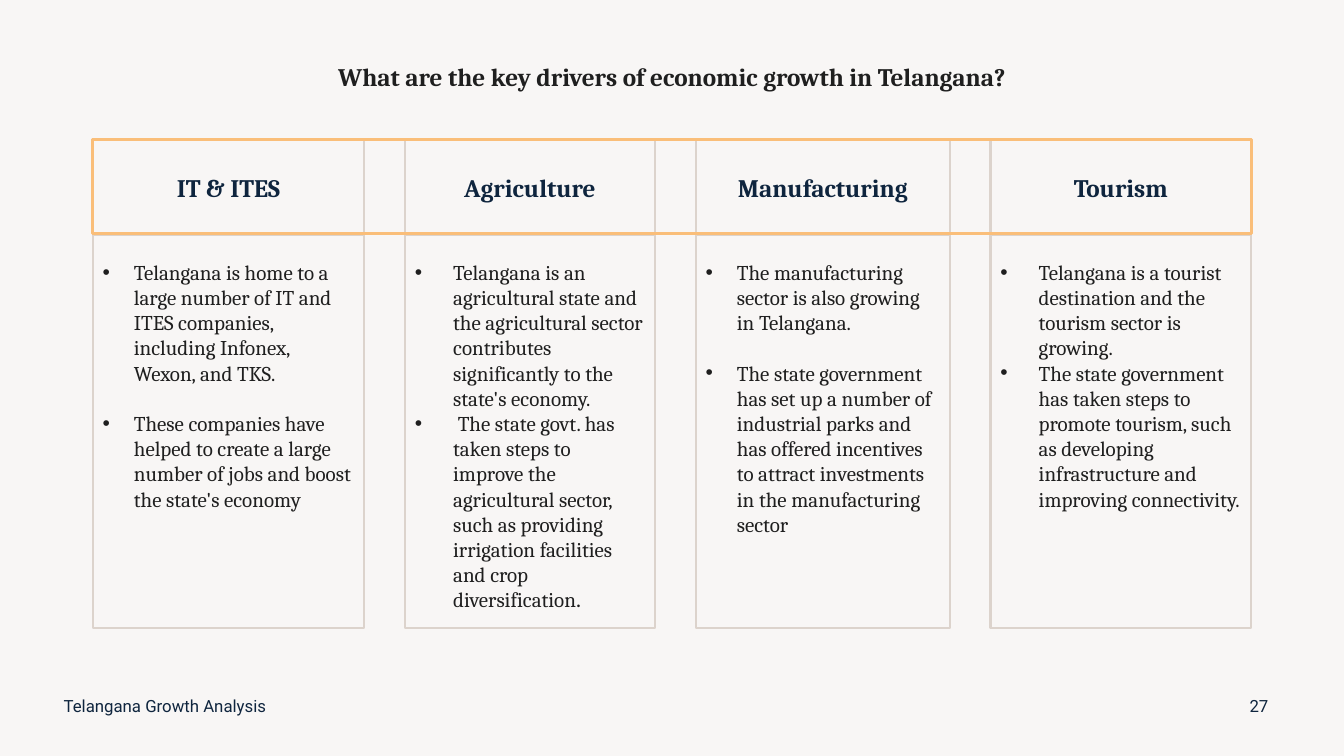
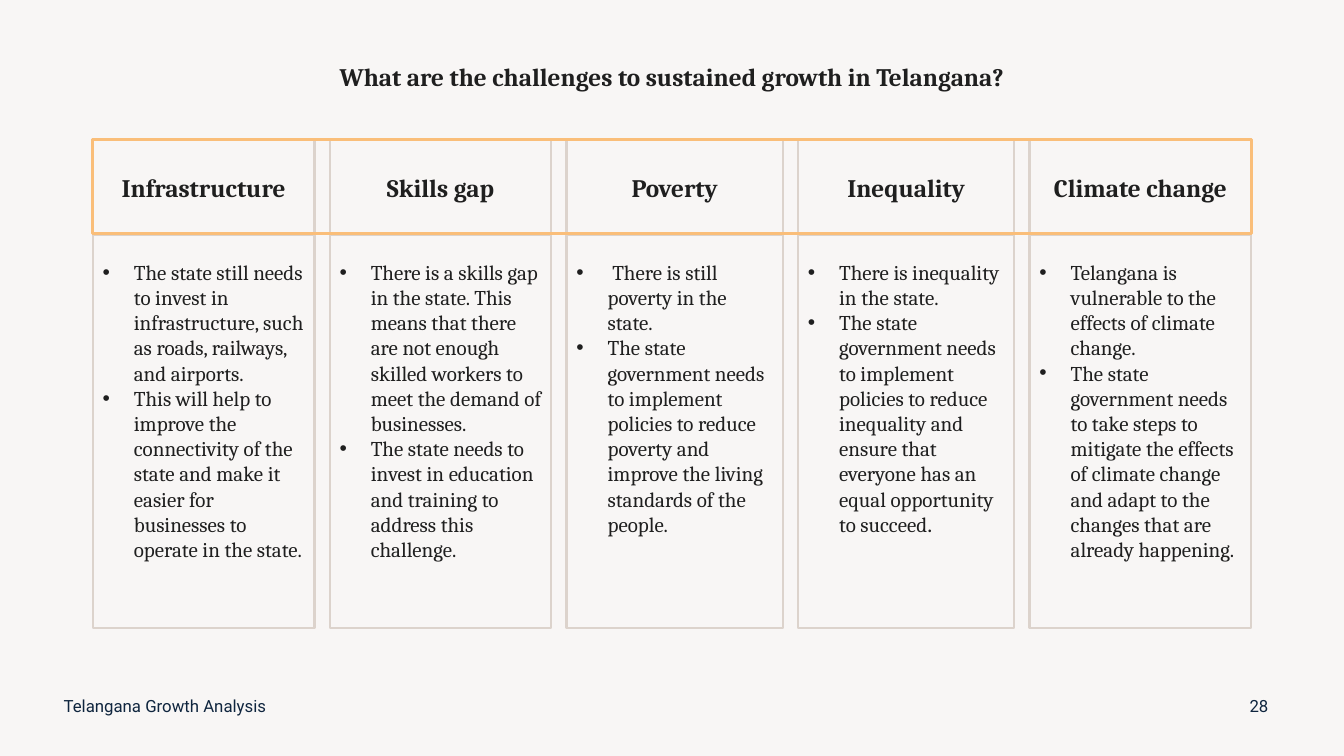
import pptx
import pptx.util
import pptx.dml.color
import pptx.enum.shapes
import pptx.enum.text
import pptx.oxml.ns
import lxml.etree

prs = pptx.Presentation()
prs.slide_width = pptx.util.Inches(13.33)
prs.slide_height = pptx.util.Inches(7.5)
COL = prs.slide_width / 100
ROW = prs.slide_height / 100

PAPER, SAND, ORANGE = "F8F6F5", "DCD3CC", "FABE79"
INK, NAVY = "1F1F1F", "0F253E"
MARGIN, BAND = 6.9, 86.2
HEAD_TOP, HEAD_H, BODY_H = 18.4, 12.7, 52


def rgb(value):
    return pptx.dml.color.RGBColor.from_string(value)


def box(s, paras, x, y, w, h, size=18, font="Cambria", color=INK, bold=False,
        align="LEFT", anchor="MIDDLE", line=None, weight=1.5, top=0.05,
        before=0, gap=0, spacing=None, indent=0):
    at = [int(v) for v in (x * COL, y * ROW, w * COL, h * ROW)]
    if line:
        sp = s.shapes.add_shape(pptx.enum.shapes.MSO_SHAPE.RECTANGLE, *at)
        sp.shadow.inherit = False
        sp.fill.background()
        sp.line.color.rgb = rgb(line)
        sp.line.width = pptx.util.Pt(weight)
    else:
        sp = s.shapes.add_textbox(*at)
    tf = sp.text_frame
    tf.word_wrap = True
    tf.margin_top = pptx.util.Inches(top)
    tf.vertical_anchor = getattr(pptx.enum.text.MSO_ANCHOR, anchor)
    for i, para in enumerate(paras):
        p = tf.paragraphs[0] if i == 0 else tf.add_paragraph()
        p.alignment = getattr(pptx.enum.text.PP_ALIGN, align)
        p.space_before = pptx.util.Pt(gap if i else before)
        if spacing:
            p.line_spacing = spacing
        if indent:
            pPr = p._p.get_or_add_pPr()
            pPr.set("marL", str(pptx.util.Inches(indent)))
            pPr.set("indent", str(-pptx.util.Inches(indent)))
            for tag, key, value in (("a:buFont", "typeface", "Arial"), ("a:buChar", "char", "•")):
                lxml.etree.SubElement(pPr, pptx.oxml.ns.qn(tag)).set(key, value)
        for part, face in zip(para.split("|"), (font, "Lato")):
            r = p.add_run()
            r.text = part
            r.font.size = pptx.util.Pt(size)
            r.font.name = face
            r.font.bold = bold
            r.font.color.rgb = rgb(color)


slides = [
    ("What are the key drivers of economic growth in Telangana?", "27", NAVY, [
        ("IT & ITES", 20.2, 0.31, 18, [
            "Telangana is home to a large number of IT and ITES companies, including Infonex, Wexon, and TKS.",
            "These companies have helped to create a large number of jobs and boost the state's economy"]),
        ("Agriculture", 18.6, 0.38, 0, [
            "Telangana is an agricultural state and the agricultural sector contributes significantly to the state's economy.",
            " The state govt. has taken steps to improve the agricultural sector, such as providing irrigation facilities and crop diversification|."]),
        ("Manufacturing", 18.9, 0.31, 18, [
            "The manufacturing sector is also growing in Telangana.",
            "The state government has set up a number of industrial parks and has offered incentives to attract investments in the manufacturing sector"]),
        ("Tourism", 19.4, 0.38, 0, [
            "Telangana is a tourist destination and the tourism sector is growing.",
            "The state government has taken steps to promote tourism, such as developing infrastructure and improving connectivity."]),
    ]),
    ("What are the challenges to sustained growth in Telangana?", "28", INK, [
        ("Infrastructure", 16.5, 0.31, 0, [
            "The state still needs to invest in infrastructure, such as roads, railways, and airports.",
            "This will help to improve the connectivity of the state and make it easier for businesses to operate in the state."]),
        ("Skills gap", 16.5, 0.31, 0, [
            "There is a skills gap in the state. This means that there are not enough skilled workers to meet the demand of businesses.",
            "The state needs to invest in education and training to address this challenge."]),
        ("Poverty", 16.1, 0.31, 0, [
            " There is still poverty in the state.",
            "The state government needs to implement policies to reduce poverty and improve the living standards of the people."]),
        ("Inequality", 16.1, 0.31, 0, [
            "There is inequality in the state.",
            "The state government needs to implement policies to reduce inequality and ensure that everyone has an equal opportunity to succeed|."]),
        ("Climate change", 16.5, 0.31, 0, [
            "Telangana is vulnerable to the effects of climate change.",
            "The state government needs to take steps to mitigate the effects of climate change and adapt to the changes that are already happening."]),
    ]),
]

for title, number, head_color, topics in slides:
    s = prs.slides.add_slide(prs.slide_layouts[6])
    s.background.fill.solid()
    s.background.fill.fore_color.rgb = rgb(PAPER)
    box(s, [title], MARGIN, 5.3, BAND, 10.2, bold=True, align="CENTER", spacing=0.9)

    gutter = (BAND - sum(topic[1] for topic in topics)) / (len(topics) - 1)
    x = MARGIN
    for head, width, indent, gap, points in topics:
        box(s, [head], x, HEAD_TOP, width, HEAD_H, color=head_color, bold=True,
            align="CENTER", line=SAND, before=10)
        box(s, points, x, HEAD_TOP + HEAD_H, width, BODY_H, size=15, anchor="TOP",
            line=SAND, top=0.24, gap=gap, indent=indent)
        x += width + gutter
    box(s, [], MARGIN, HEAD_TOP, BAND, HEAD_H - 0.2, line=ORANGE, weight=2.25)

    for label, left, width, align in (("Telangana Growth Analysis", 4, 33.8, "LEFT"),
                                      (number, 91.8, 3.75, "CENTER")):
        box(s, [label], left, 90.7, width, 5.3, size=12, font="Roboto", color=NAVY, align=align)

prs.save("out.pptx")
